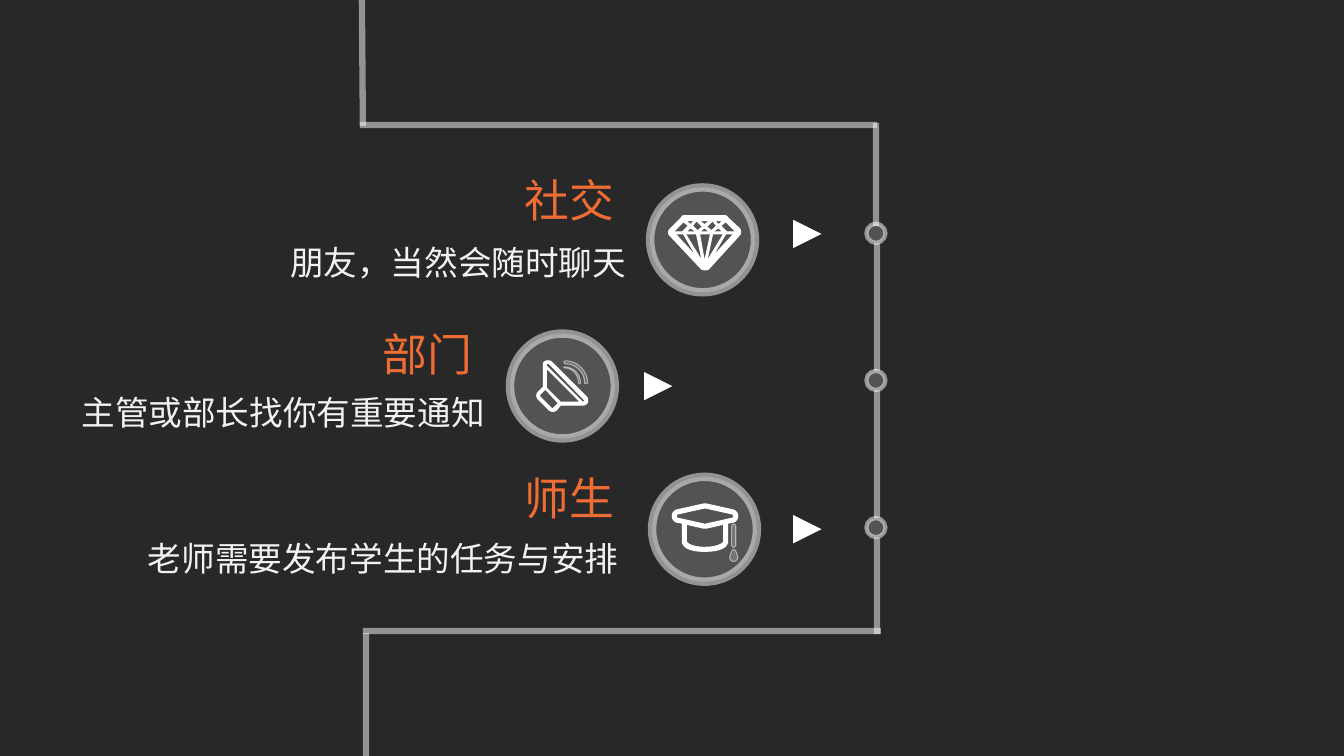
from lxml import etree
from pptx import Presentation
from pptx.dml.color import RGBColor
from pptx.enum.shapes import MSO_CONNECTOR, MSO_SHAPE
from pptx.enum.text import MSO_AUTO_SIZE
from pptx.oxml.ns import qn
from pptx.util import Pt

OVAL = MSO_SHAPE.OVAL
ARROW = MSO_SHAPE.FLOWCHART_EXTRACT
LINE = MSO_CONNECTOR.STRAIGHT
GROW = MSO_AUTO_SIZE.SHAPE_TO_FIT_TEXT

DARK = RGBColor(0x28, 0x28, 0x28)
WHITE = RGBColor(0xFF, 0xFF, 0xFF)
PALE = RGBColor(0xF2, 0xF2, 0xF2)
ORANGE = RGBColor(0xEE, 0x6D, 0x34)

FACE = "Noto Sans CJK SC"
HEAD = {"size": Pt(32), "name": FACE}
BODY = {"size": Pt(24), "name": FACE}
FRAME = {"word_wrap": False, "auto_size": GROW}
UNIT = Pt(0.72)  # grid step of the icon outlines
BADGE = 74.9
NODE = 13.7
TIP = 20.2

# Icon outlines: pairs are corners, sixes are Bezier curves.
FACETS = [
    [(33, 34), (38, 38), (32, 44), (23, 44)],
    [(47, 70), (25, 46), (33, 46)],
    [(46, 46), (52, 74), (35, 46)],
    [(40, 40), (46, 44), (36, 44)],
    [(40, 37), (36, 33), (44, 33)],
    [(47, 43), (42, 38), (46, 33), (52, 39)],
]
GEM = FACETS + [[(108 - x, y) for x, y in facet] for facet in FACETS] + [
    [(54, 37), (49, 33), (59, 33)],
    [(60, 46), (54, 74), (49, 46)],
    [(59, 44), (49, 44), (54, 40)],
    [(89, 41), (77, 30), (76, 28, 75, 28, 74, 28), (34, 28),
     (33, 28, 32, 28, 31, 30), (20, 41), (18, 43, 18, 45, 19, 47),
     (51, 81), (53, 82, 56, 82, 58, 81), (89, 47), (90, 45, 90, 43, 89, 41)],
]
HORN = [
    [(74, 67), (74, 67, 73, 68, 72, 68), (36, 32), (36, 31),
     (36, 30, 38, 29, 39, 30), (73, 65), (74, 66, 74, 66, 74, 67)],
    [(50, 68), (36, 54), (36, 34), (70, 68)],
    [(48, 69), (43, 74), (42, 75, 41, 74, 41, 74), (30, 63),
     (29, 62, 29, 61, 30, 60), (35, 55)],
    [(41, 28), (40, 27, 38, 27, 36, 27), (34, 28, 33, 29, 33, 31),
     (33, 53), (28, 58), (26, 60, 26, 63, 28, 65), (39, 76),
     (41, 77.5, 44, 77.5, 46, 76), (50, 71), (72, 71),
     (74, 71, 76, 70, 77, 68), (77, 66, 77, 64, 76, 63)],
]
NEAR = [[(68, 49), (68, 50, 70, 50, 70, 49), (70, 40, 63, 33, 54, 33),
         (53, 33, 53, 34, 54, 34), (62, 34, 68, 41, 68, 49)]]
FAR = [[(55, 30), (65, 30, 74, 38, 74, 49), (74, 50, 76, 50, 77, 49),
        (77, 37, 67, 27, 55, 27), (53, 27, 53, 30, 55, 30)]]
CAP = [
    [(53, 47), (52, 47), (25, 41), (24, 41, 24, 37, 25, 37), (52, 31),
     (53, 31), (80, 37), (81, 37, 81, 41, 80, 41)],
    [(71, 64), (71, 66, 65, 70, 52, 70), (40, 70, 34, 66, 34, 64),
     (34, 47), (51, 51), (54, 51), (71, 47)],
    [(85, 39), (85, 36, 83, 34, 81, 33), (54, 27), (51, 27), (24, 33),
     (22, 34, 20, 36, 20, 39), (20, 42, 22, 44, 24, 45), (30, 46), (30, 64),
     (30, 69, 36, 74, 52, 74), (69, 74, 75, 69, 75, 64), (75, 46), (81, 45),
     (83, 44, 85, 42, 85, 39)],
]
CORD = [[(79, 49), (79, 68), (79, 69, 80, 70, 81, 70),
         (82, 70, 83, 69, 83, 68), (83, 49), (83, 48, 82, 47, 81, 47),
         (80, 47, 79, 48, 79, 49)]]
DROP = [[(81, 72), (79, 72, 77, 78, 77, 80), (77, 82, 79, 84, 81, 84),
         (83, 84, 85, 82, 85, 80), (85, 78, 83, 72, 81, 72)]]

RAILS = [
    (626.4, 173.5, 626.4, 265), (258.5, 0, 259.2, 90),
    (626.4, 89.3, 257, 89.3), (625.7, 87.8, 625.7, 161.3),
    (626.4, 278.6, 626.4, 370), (629.3, 450.7, 259.2, 450.7),
    (261.4, 452.2, 261.4, 541.4), (626.4, 383.8, 626.4, 452.9),
]
# Badge corner, solid icon, faint icon parts
BADGES = [
    (364.3, 238.3, HORN, [NEAR, FAR]),
    (465.8, 340.6, CAP, [CORD, DROP]),
    (464.4, 133.9, GEM, []),
]
TIPS = [(566.6, 157), (460.1, 265.7), (566.6, 367.9)]
# Heading and its box corner, then body text with left, top, width
TOPICS = [
    ("社交", 367.9, 119.5, "朋友，当然会随时聊天", 200.2, 169.2, 257),
    ("部门", 266.4, 229.7, "主管或部长找你有重要通知", 51.1, 276.5, 305.3),
    ("师生", 367.9, 332.6, "老师需要发布学生的任务与安排", 98.6, 380.9, 353.5),
]


def fade(fill, share):
    """Set the opacity of a solid fill, in percent."""
    color = fill._xPr.find(qn("a:solidFill"))[0]
    etree.SubElement(color, qn("a:alpha"), val=str(share * 1000))


def stroke(line, width, share=100):
    line.color.rgb = WHITE
    line.width = Pt(width)
    fade(line.fill, share)


def paint(shape, share=100, width=0, edge=100):
    """Fill in white at an opacity, with a white edge if it has a width."""
    shape.shadow.inherit = False
    shape.fill.solid()
    shape.fill.fore_color.rgb = WHITE
    fade(shape.fill, share)
    if width:
        stroke(shape.line, width, edge)
    else:
        shape.line.fill.background()


def add_rail(shapes, ends):
    rail = shapes.add_connector(LINE, *map(Pt, ends))
    stroke(rail.line, 4.5, 50)
    etree.SubElement(rail._element.spPr, qn("a:effectLst"))


def add_form(shapes, kind, left, top, size):
    return shapes.add_shape(kind, Pt(left), Pt(top), Pt(size), Pt(size))


def trace(path, steps=8):
    """Turn corners and curves into a list of points in EMU."""
    points = []
    for part in path:
        if len(part) == 2:
            points.append(part)
            continue
        start = points[-1]
        for step in range(1, steps + 1):
            t = step / steps
            u = 1 - t
            points.append(tuple(
                u**3 * start[i] + 3 * u * u * t * part[i]
                + 3 * u * t * t * part[i + 2] + t**3 * part[i + 4]
                for i in (0, 1)))
    return [(x * UNIT, y * UNIT) for x, y in points]


def add_icon(shapes, left, top, paths):
    first, *rest = map(trace, paths)
    pen = shapes.build_freeform(*first[0])
    pen.add_line_segments(first[1:], close=True)
    for points in rest:
        pen.move_to(*points[0])
        pen.add_line_segments(points[1:], close=True)
    return pen.convert_to_shape(Pt(left), Pt(top))


def add_badge(shapes, left, top, icon, faint):
    parts = shapes.add_group_shape().shapes
    paint(add_form(parts, OVAL, left, top, BADGE), 20, 6, 50)
    paint(add_icon(parts, left, top, icon), width=0.75)
    for paths in faint:
        paint(add_icon(parts, left, top, paths), 20, 0.75, 50)


def add_text(shapes, text, left, top, width, height, style, color):
    box = shapes.add_textbox(Pt(left), Pt(top), Pt(width), Pt(height))
    frame = box.text_frame
    run = frame.paragraphs[0].add_run()
    run.text = text
    for target, values in ((frame, FRAME), (run.font, style)):
        for name, value in values.items():
            setattr(target, name, value)
    run.font.color.rgb = color
    etree.SubElement(run.font._element, qn("a:ea"), typeface=FACE)


def main():
    deck = Presentation()
    deck.slide_width, deck.slide_height = Pt(960), Pt(540)
    slide = deck.slides.add_slide(deck.slide_layouts[6])
    slide.background.fill.solid()
    slide.background.fill.fore_color.rgb = DARK
    shapes = slide.shapes
    for ends in RAILS:
        add_rail(shapes, ends)
    for row in range(3):
        paint(add_form(shapes, OVAL, 618.8, 159.8 + 105.1 * row, NODE), 20, 3, 50)
    for left, top in TIPS:
        tip = add_form(shapes, ARROW, left, top, TIP)
        tip.rotation = 90
        paint(tip)
    for badge in BADGES:
        add_badge(shapes, *badge)
    for head, x, y, body, left, top, width in TOPICS:
        add_text(shapes, body, left, top, width, 36, BODY, PALE)
        add_text(shapes, head, x, y, 79.2, 46, HEAD, ORANGE)
    deck.save("out.pptx")


if __name__ == "__main__":
    main()
